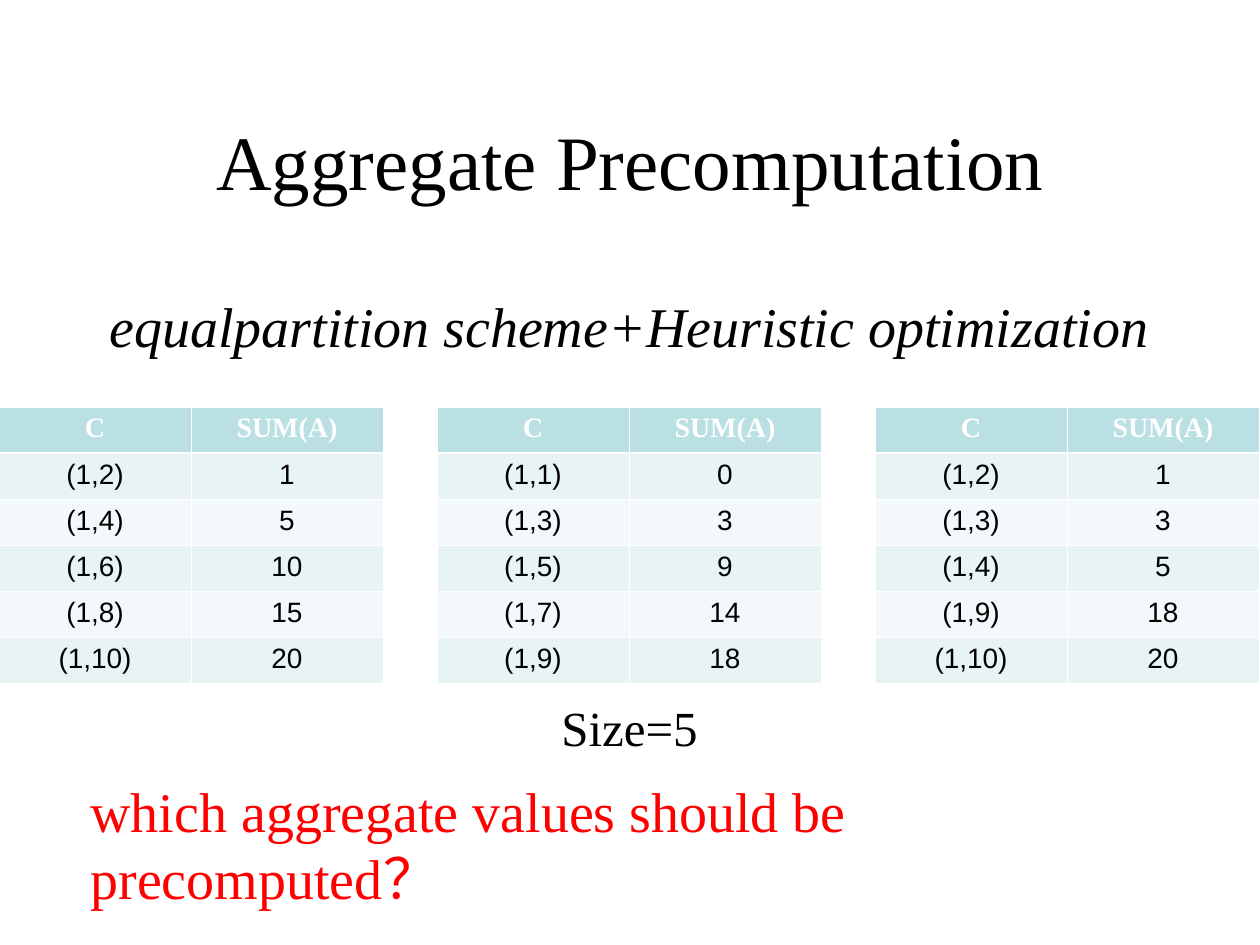
from lxml import etree
from pptx import Presentation
from pptx import util as u
from pptx.dml.color import RGBColor
from pptx.enum import text
from pptx.oxml import ns

PX = 914400 // 126
SERIF, SANS = "Times New Roman", "Arial"
BLACK, WHITE, RED = "000000", "FFFFFF", "FF0000"
HEADER_FILL, BAND_FILLS = "BBE0E3", ("E7F3F4", "F3F9FA")
THIN, THICK = 0.45, 1.47

COLUMN_WIDTH, ROW_HEIGHT = 192, 46
TABLE_TOP = 407
HEADER = ("C", "SUM(A)")
TABLES = [
    (-1, [("(1,2)", "1"), ("(1,4)", "5"), ("(1,6)", "10"), ("(1,8)", "15"), ("(1,10)", "20")]),
    (437, [("(1,1)", "0"), ("(1,3)", "3"), ("(1,5)", "9"), ("(1,7)", "14"), ("(1,9)", "18")]),
    (875, [("(1,2)", "1"), ("(1,3)", "3"), ("(1,4)", "5"), ("(1,9)", "18"), ("(1,10)", "20")]),
]


def px(*lengths):
    """Turn pixel lengths into EMU."""
    return [u.Emu(length * PX) for length in lengths]


def color(value):
    return RGBColor.from_string(value)


def format_paragraph(paragraph, size, font_color, name=SERIF, bold=False, italic=False,
                     align=text.PP_ALIGN.LEFT):
    paragraph.alignment = align
    font = paragraph.font
    font.name, font.size = name, u.Pt(size)
    font.bold, font.italic = bold, italic
    font.color.rgb = color(font_color)


def set_title(slide, content, box):
    title = slide.shapes.title
    title.left, title.top, title.width, title.height = px(*box)
    frame = title.text_frame
    frame.margin_left = frame.margin_right = frame.margin_bottom = 0
    frame.margin_top = px(1)[0]
    frame.vertical_anchor = text.MSO_ANCHOR.MIDDLE
    frame.auto_size = text.MSO_AUTO_SIZE.SHAPE_TO_FIT_TEXT
    frame.text = content
    format_paragraph(frame.paragraphs[0], 44, BLACK, align=text.PP_ALIGN.CENTER)


def add_text(slide, content, box, size, font_color=BLACK, italic=False, wrap=False):
    frame = slide.shapes.add_textbox(*px(*box)).text_frame
    frame.word_wrap = wrap
    frame.auto_size = text.MSO_AUTO_SIZE.SHAPE_TO_FIT_TEXT
    frame.text = content
    format_paragraph(frame.paragraphs[0], size, font_color, italic=italic)


def set_borders(cell, top, bottom):
    """Draw white cell borders; top and bottom are widths in points."""
    properties = cell._tc.get_or_add_tcPr()
    widths = {"a:lnL": THIN, "a:lnR": THIN, "a:lnT": top, "a:lnB": bottom}
    for position, (tag, width) in enumerate(widths.items()):
        line = etree.Element(ns.qn(tag), w=str(u.Pt(width)))
        fill = etree.SubElement(line, ns.qn("a:solidFill"))
        etree.SubElement(fill, ns.qn("a:srgbClr"), val=WHITE)
        properties.insert(position, line)


def fill_cell(cell, content, row):
    is_header = row == 0
    cell.margin_left, cell.margin_right, cell.margin_top, cell.margin_bottom = px(11, 11, 6, 6)
    cell.fill.solid()
    cell.fill.fore_color.rgb = color(HEADER_FILL if is_header else BAND_FILLS[(row - 1) % 2])
    set_borders(cell, THICK if row == 1 else THIN, THICK if is_header else THIN)
    cell.text = content
    format_paragraph(cell.text_frame.paragraphs[0], 16, WHITE if is_header else BLACK,
                     SERIF if is_header else SANS, bold=is_header,
                     align=text.PP_ALIGN.CENTER)


def add_aggregate_table(slide, left, records):
    rows = [HEADER, *records]
    box = px(left, TABLE_TOP, COLUMN_WIDTH * len(HEADER), ROW_HEIGHT * len(rows))
    table = slide.shapes.add_table(len(rows), len(HEADER), *box).table
    for row, values in enumerate(rows):
        for column, value in enumerate(values):
            fill_cell(table.cell(row, column), value, row)


def main():
    presentation = Presentation()
    presentation.slide_width, presentation.slide_height = u.Inches(10), u.Inches(7.5)
    slide = presentation.slides.add_slide(presentation.slide_layouts[5])
    set_title(slide, "Aggregate Precomputation", (197, 111, 867, 96))
    for left, records in TABLES:
        add_aggregate_table(slide, left, records)
    add_text(slide, "equalpartition scheme+Heuristic optimization", (97, 285, 1068, 81), 32,
             italic=True)
    add_text(slide, "Size=5", (549, 691, 168, 72), 28)
    add_text(slide, "which aggregate values should be precomputed？", (78, 770, 1106, 81), 32,
             RED, wrap=True)
    presentation.save("out.pptx")


if __name__ == "__main__":
    main()
